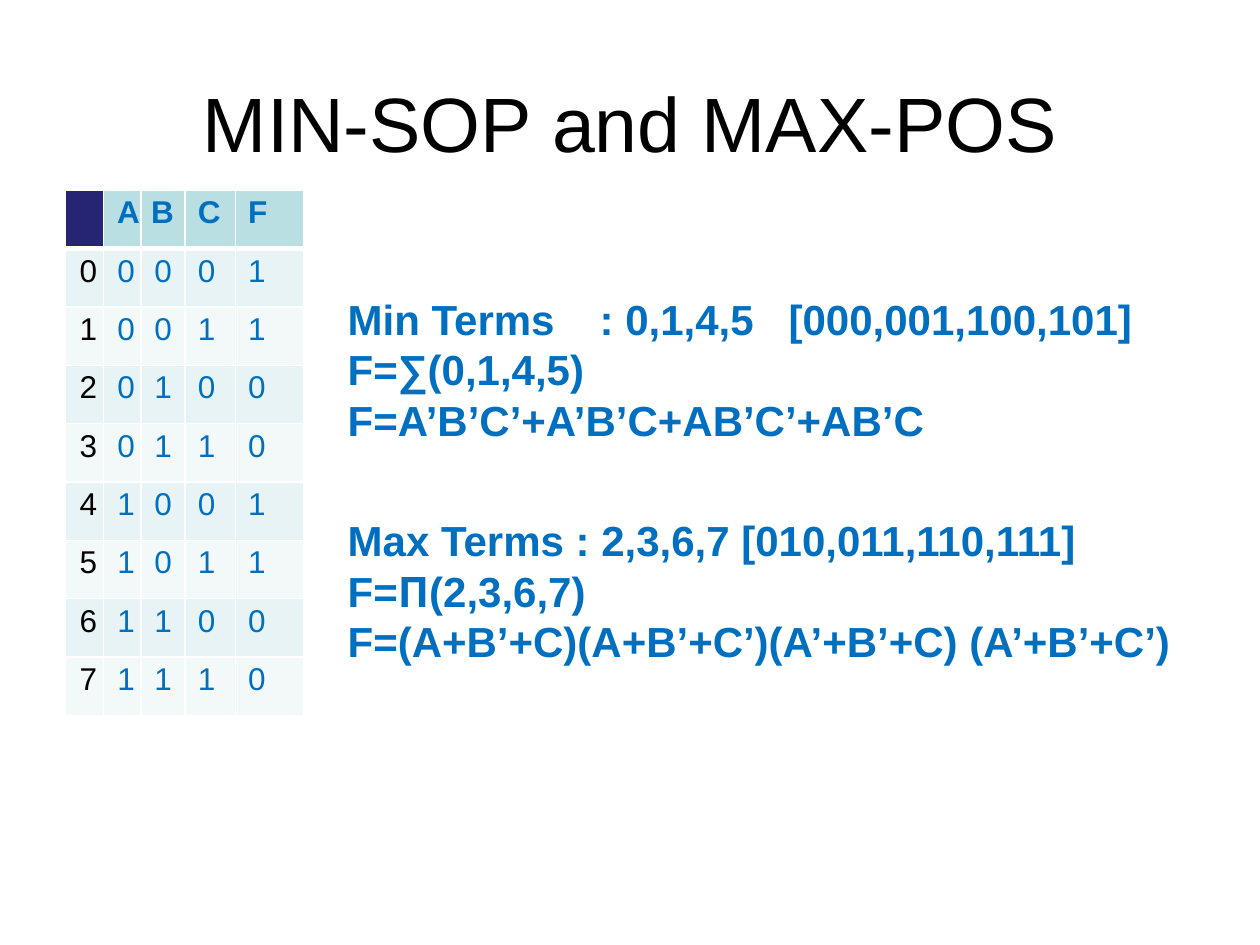
from dataclasses import dataclass
from itertools import product

from lxml import etree
from pptx import Presentation
from pptx import util as u
from pptx.dml.color import RGBColor
from pptx.enum import text
from pptx.oxml import ns

COLORS = {
    "black": "000000", "blue": "006FC0", "white": "FFFFFF", "corner": "252573",
    "header": "BADFE2", "band_dark": "E7F3F4", "band_light": "F3F8F9",
}
FONT = "Arial"
SYMBOL_FONT = "Open Sans"


@dataclass
class Column:
    heading: str
    width: float
    align: text.PP_ALIGN
    left: float = 0
    right: float = 0
    color: str = "blue"


@dataclass
class Formulas:
    lines: list[str]
    space_before: float = 0


RIGHT, CENTER, LEFT = text.PP_ALIGN.RIGHT, text.PP_ALIGN.CENTER, text.PP_ALIGN.LEFT
COLUMNS = [
    Column("", 0.3, RIGHT, right=0.05, color="black"),
    Column("A", 0.3, RIGHT, right=0.05),
    Column("B", 0.35, CENTER),
    Column("C", 0.4, LEFT, left=0.1),
    Column("F", 0.54, LEFT, left=0.1),
]
FORMULAS = [
    Formulas(["Min Terms\t: 0,1,4,5\t[000,001,100,101]", "F=∑(0,1,4,5)"]),
    Formulas(["F=A’B’C’+A’B’C+AB’C’+AB’C"]),
    Formulas(["Max Terms : 2,3,6,7 [010,011,110,111]", "F=Π(2,3,6,7)"], space_before=40),
    Formulas(["F=(A+B’+C)(A+B’+C’)(A’+B’+C) (A’+B’+C’)"]),
]


def rgb(name: str) -> RGBColor:
    return RGBColor.from_string(COLORS[name])


def style_run(run, size: float, color: str, bold: bool = False, font: str = FONT) -> None:
    run.font.name, run.font.size, run.font.bold = font, u.Pt(size), bold
    run.font.color.rgb = rgb(color)


def add_frame(slide, left: float, top: float, width: float, height: float,
              inset_left: float, inset_top: float):
    frame = slide.shapes.add_textbox(*map(u.Inches, (left, top, width, height))).text_frame
    frame.word_wrap = True
    frame.margin_left, frame.margin_top = u.Inches(inset_left), u.Inches(inset_top)
    frame.margin_right = frame.margin_bottom = 0
    return frame


def add_border(cell, side: str, points: float) -> None:
    line = etree.SubElement(cell._tc.get_or_add_tcPr(), ns.qn(f"a:ln{side}"), w=str(u.Pt(points)))
    fill = etree.SubElement(line, ns.qn("a:solidFill"))
    etree.SubElement(fill, ns.qn("a:srgbClr"), val=COLORS["white"])


def fill_cell(cell, value: str, row: int, column: Column) -> None:
    header = row == 0
    for side in "LRTB":
        thick = (header and side == "B") or (row == 1 and side == "T")
        add_border(cell, side, 3 if thick else 1)
    if header:
        background = "header" if value else "corner"
    else:
        background = "band_dark" if row % 2 else "band_light"
    cell.fill.solid()
    cell.fill.fore_color.rgb = rgb(background)
    cell.margin_left, cell.margin_top = u.Inches(column.left), u.Inches(0.04)
    cell.margin_right = u.Inches(0.01 if header else column.right)
    cell.margin_bottom = 0
    paragraph = cell.text_frame.paragraphs[0]
    paragraph.text = value
    paragraph.alignment = column.align
    for run in paragraph.runs:
        style_run(run, 18, column.color, bold=header)


def add_truth_table(slide) -> None:
    # F is 1 exactly where B is 0
    minterms = [(i, a, b, c, 1 - b) for i, (a, b, c) in enumerate(product((0, 1), repeat=3))]
    rows = [[column.heading for column in COLUMNS], *minterms]
    width = sum(column.width for column in COLUMNS)
    table = slide.shapes.add_table(len(rows), len(COLUMNS), u.Inches(0.52), u.Inches(1.51),
                                   u.Inches(width), u.Inches(4.17)).table
    table.first_row = table.horz_banding = False
    for index, column in enumerate(COLUMNS):
        table.columns[index].width = u.Inches(column.width)
        for row, values in enumerate(rows):
            fill_cell(table.cell(row, index), str(values[index]), row, column)


def add_formulas(slide) -> None:
    frame = add_frame(slide, 2.75, 2.3, 7.47, 3.01, 0.01, 0.03)
    for index, group in enumerate(FORMULAS):
        paragraph = frame.add_paragraph() if index else frame.paragraphs[0]
        paragraph.line_spacing = u.Pt(28.8)
        paragraph.space_before = u.Pt(group.space_before)
        for number, line in enumerate(group.lines):
            if number:
                paragraph.add_line_break()
            # The product sign has its own font
            for part in filter(None, line.partition("Π")):
                run = paragraph.add_run()
                run.text = part
                style_run(run, 24, "blue", bold=True, font=SYMBOL_FONT if part == "Π" else FONT)


def main() -> None:
    deck = Presentation()
    deck.slide_width, deck.slide_height = u.Inches(10), u.Inches(7.5)
    slide = deck.slides.add_slide(deck.slide_layouts[6])

    # Title
    title = add_frame(slide, 1.59, 0.53, 6.82, 0.76, 0.02, 0.07)
    title.text = "MIN-SOP and MAX-POS"
    style_run(title.paragraphs[0].runs[0], 44, "black")

    # Truth table and the formulas read from it
    add_truth_table(slide)
    add_formulas(slide)
    deck.save("out.pptx")


if __name__ == "__main__":
    main()
